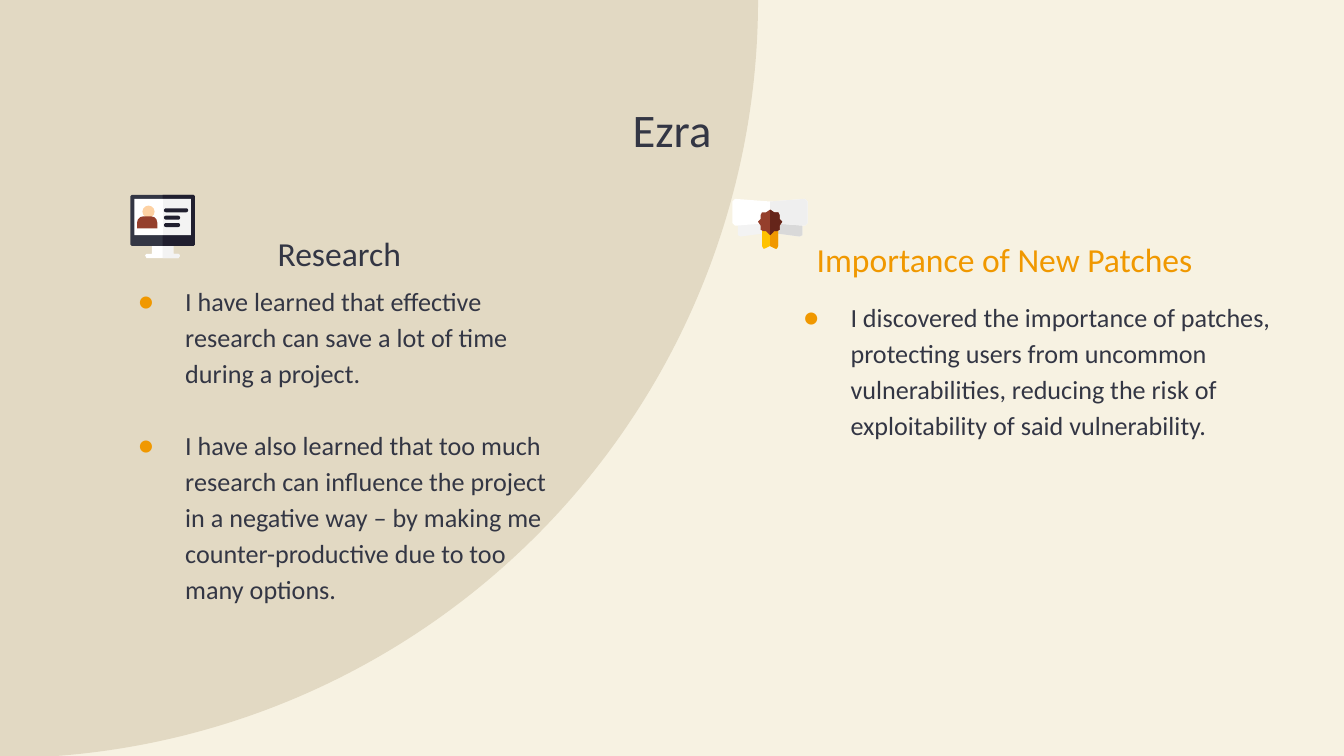
from dataclasses import dataclass
from typing import NamedTuple

from lxml import etree
from pptx import Presentation
from pptx import util as u
from pptx.dml.color import RGBColor
from pptx.enum import shapes, text
from pptx.oxml import ns


@dataclass(frozen=True)
class Theme:
    font: str = "Calibri"
    cream: str = "F7F2E2"
    sand: str = "E2D9C3"
    ink: str = "333644"
    night: str = "201F2F"
    orange: str = "F09800"
    yellow: str = "FFC200"
    white: str = "FFFFFF"
    mist: str = "F3F3F3"
    pearl: str = "EFEFEF"
    grey: str = "D9D9D9"
    skin: str = "FDD1A3"
    rust: str = "953F2C"
    maroon: str = "65251A"
    title: float = 25
    heading: float = 18
    body: float = 14
    spacing: float = 1.15
    item_gap: float = 19.3


THEME = Theme()


class Box(NamedTuple):
    left: float
    top: float
    width: float
    height: float


class Heading(NamedTuple):
    words: str
    box: Box
    size: float
    color: str
    spacing: float


class BulletList(NamedTuple):
    items: list[str]
    box: Box


class TwoTone(NamedTuple):
    """Symmetric outline: right half as (offset from axis, y)."""
    half: list[tuple[float, float]]
    color: str
    right_color: str


def paint(shape, color: str) -> None:
    shape.fill.solid()
    shape.fill.fore_color.rgb = RGBColor.from_string(color)
    shape.line.fill.background()
    shape.shadow.inherit = False


def add_preset(parent, kind, box: Box, color: str, *adjust: float):
    shape = parent.add_shape(kind, *map(u.Inches, box))
    for index, value in enumerate(adjust):
        shape.adjustments[index] = value
    paint(shape, color)
    return shape


def add_outline(parent, points: list[tuple[float, float]], color: str) -> None:
    (x, y), *others = [(u.Inches(px), u.Inches(py)) for px, py in points]
    builder = parent.build_freeform(x, y)
    builder.add_line_segments(others, close=True)
    paint(builder.convert_to_shape(), color)


def add_two_tone(parent, axis: float, part: TwoTone) -> None:
    right = [(axis + dx, y) for dx, y in part.half]
    left = [(axis - dx, y) for dx, y in reversed(part.half)]
    add_outline(parent, right + left, part.color)
    add_outline(parent, right, part.right_color)


def add_frame(page, box: Box):
    frame = page.shapes.add_textbox(*map(u.Inches, box)).text_frame
    frame.word_wrap = True
    frame.vertical_anchor = text.MSO_ANCHOR.TOP
    frame.margin_left = frame.margin_right = u.Inches(0.1)
    frame.margin_top = frame.margin_bottom = u.Inches(0.1)
    return frame


def add_span(para, words: str, size: float, color: str) -> None:
    span = para.add_run()
    span.text = words
    span.font.name = THEME.font
    span.font.size = u.Pt(size)
    span.font.color.rgb = RGBColor.from_string(color)


def add_heading(page, heading: Heading) -> None:
    para = add_frame(page, heading.box).paragraphs[0]
    para.alignment = text.PP_ALIGN.CENTER
    para.line_spacing = heading.spacing
    add_span(para, heading.words, heading.size, heading.color)


def set_bullet(para) -> None:
    props = para._p.get_or_add_pPr()
    props.set("marL", str(u.Inches(0.5)))
    props.set("indent", str(u.Inches(-0.35)))
    color = etree.SubElement(props, ns.qn("a:buClr"))
    etree.SubElement(color, ns.qn("a:srgbClr"), val=THEME.orange)
    etree.SubElement(props, ns.qn("a:buFont"), typeface=THEME.font)
    etree.SubElement(props, ns.qn("a:buChar"), char="●")


def add_bullets(page, bullets: BulletList) -> None:
    frame = add_frame(page, bullets.box)
    for index, item in enumerate(bullets.items):
        para = frame.add_paragraph() if index else frame.paragraphs[0]
        para.line_spacing = THEME.spacing
        if index:
            para.space_before = u.Pt(THEME.item_gap)
        set_bullet(para)
        add_span(para, item, THEME.body, THEME.ink)


HEADINGS = [
    Heading("Ezra", Box(1.3, 0.65, 7.4, 0.52), THEME.title, THEME.ink, 1.0),
    Heading("Research", Box(0.78, 1.59, 3.49, 0.52),
            THEME.heading, THEME.ink, THEME.spacing),
    Heading("Importance of New Patches", Box(5.73, 1.63, 3.49, 0.39),
            THEME.heading, THEME.orange, THEME.spacing),
]
LISTS = [
    BulletList([
        "I have learned that effective research can save a lot of time "
        "during a project.",
        "I have also learned that too much research can influence the project "
        "in a negative way – by making me counter-productive due to too many "
        "options.",
    ], Box(0.78, 1.99, 3.49, 2.98)),
    BulletList([
        "I discovered the importance of patches, protecting users from "
        "uncommon vulnerabilities, reducing the risk of exploitability of "
        "said vulnerability.",
    ], Box(5.73, 2.11, 3.98, 2.86)),
]
MONITOR_AXIS, DIPLOMA_AXIS = 1.21, 5.73
MONITOR = [
    # Stand, casing, screen
    TwoTone([(0, 1.77), (0.07, 1.77), (0.08, 1.79), (0.08, 1.89), (0.12, 1.89),
             (0.13, 1.9), (0.12, 1.92), (0, 1.92)], THEME.white, THEME.mist),
    TwoTone([(0, 1.45), (0.23, 1.45), (0.24, 1.46), (0.24, 1.82), (0.23, 1.83),
             (0, 1.83)], THEME.ink, THEME.night),
    TwoTone([(0, 1.48), (0.21, 1.48), (0.21, 1.75), (0, 1.75)],
            THEME.white, THEME.mist),
]
DIPLOMA = [
    # Lower sheet, ribbon, upper sheet, seal
    TwoTone([(0, 1.61), (0.23, 1.61), (0.24, 1.62), (0.24, 1.75), (0.22, 1.76),
             (0.07, 1.74), (0, 1.74)], THEME.mist, THEME.grey),
    TwoTone([(0, 1.66), (0.05, 1.66), (0.06, 1.68), (0.06, 1.83), (0.05, 1.85),
             (0.04, 1.85), (0, 1.83)], THEME.yellow, THEME.orange),
    TwoTone([(0, 1.5), (0.13, 1.49), (0.26, 1.48), (0.28, 1.5), (0.28, 1.66),
             (0.26, 1.68), (0.13, 1.67), (0, 1.66)], THEME.white, THEME.pearl),
    TwoTone([(0, 1.56), (0.03, 1.58), (0.06, 1.58), (0.07, 1.6), (0.07, 1.63),
             (0.09, 1.65), (0.07, 1.68), (0.07, 1.71), (0.05, 1.72),
             (0.03, 1.72), (0, 1.75)], THEME.rust, THEME.maroon),
]

# Widescreen page, 16 to 9
deck = Presentation()
deck.slide_width = u.Inches(10)
deck.slide_height = u.Inches(10 * 9 / 16)
page = deck.slides.add_slide(deck.slide_layouts[6])
kinds = shapes.MSO_SHAPE

# Background and quarter disc
page.background.fill.solid()
page.background.fill.fore_color.rgb = RGBColor.from_string(THEME.cream)
radius = 5.64
disc = add_preset(page.shapes, kinds.PIE,
                  Box(-radius, -radius, 2 * radius, 2 * radius),
                  THEME.sand, 108, 162)
disc.rotation = 180

# Title, headings and lists
for heading in HEADINGS:
    add_heading(page, heading)
for bullets in LISTS:
    add_bullets(page, bullets)

# Monitor with a profile card
monitor = page.shapes.add_group_shape().shapes
for part in MONITOR:
    add_two_tone(monitor, MONITOR_AXIS, part)
for row, width in enumerate((0.18, 0.12, 0.12)):
    add_preset(monitor, kinds.ROUNDED_RECTANGLE,
               Box(1.22, 1.55 + 0.055 * row, width, 0.03), THEME.night, 0.5)
add_preset(monitor, kinds.OVAL, Box(1.06, 1.53, 0.09, 0.09), THEME.skin)
add_preset(monitor, kinds.ROUND_2_SAME_RECTANGLE,
           Box(1.02, 1.61, 0.15, 0.09), THEME.rust, 0.5)

# Diploma with a seal
diploma = page.shapes.add_group_shape().shapes
for part in DIPLOMA:
    add_two_tone(diploma, DIPLOMA_AXIS, part)

deck.save("out.pptx")
